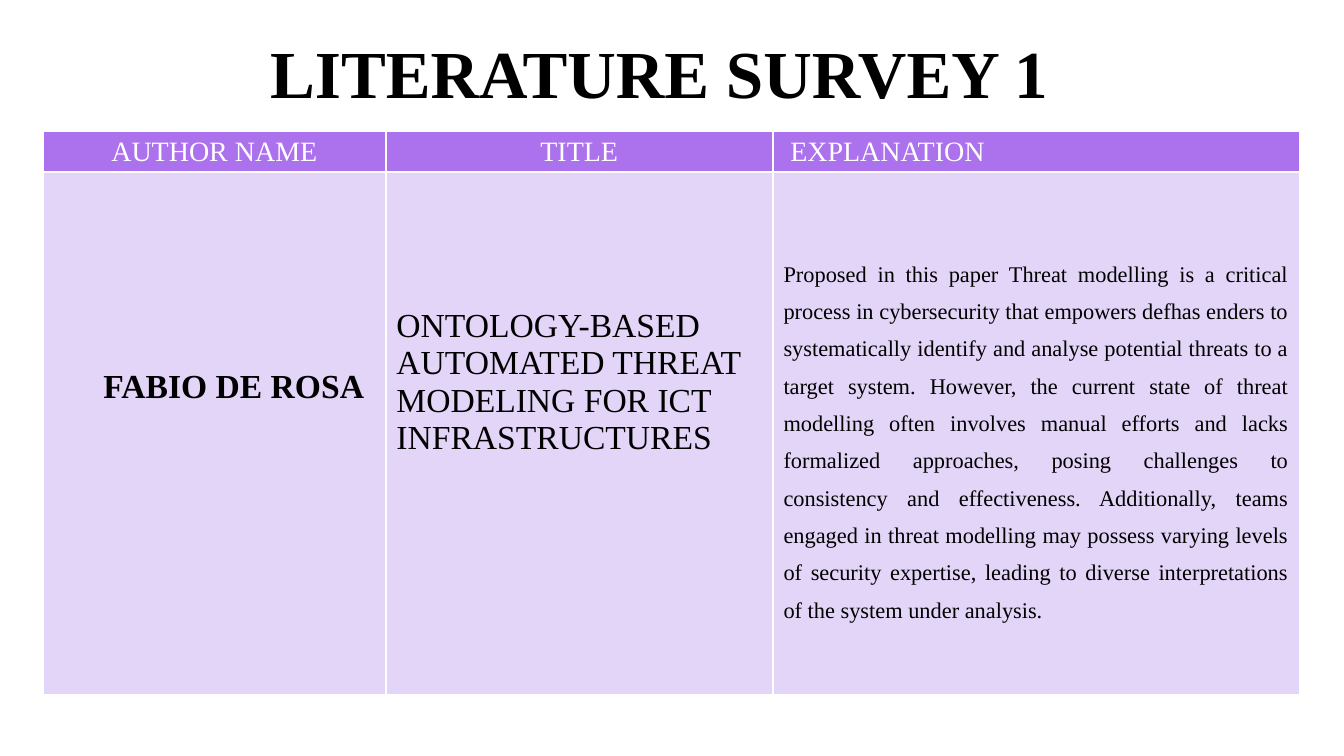
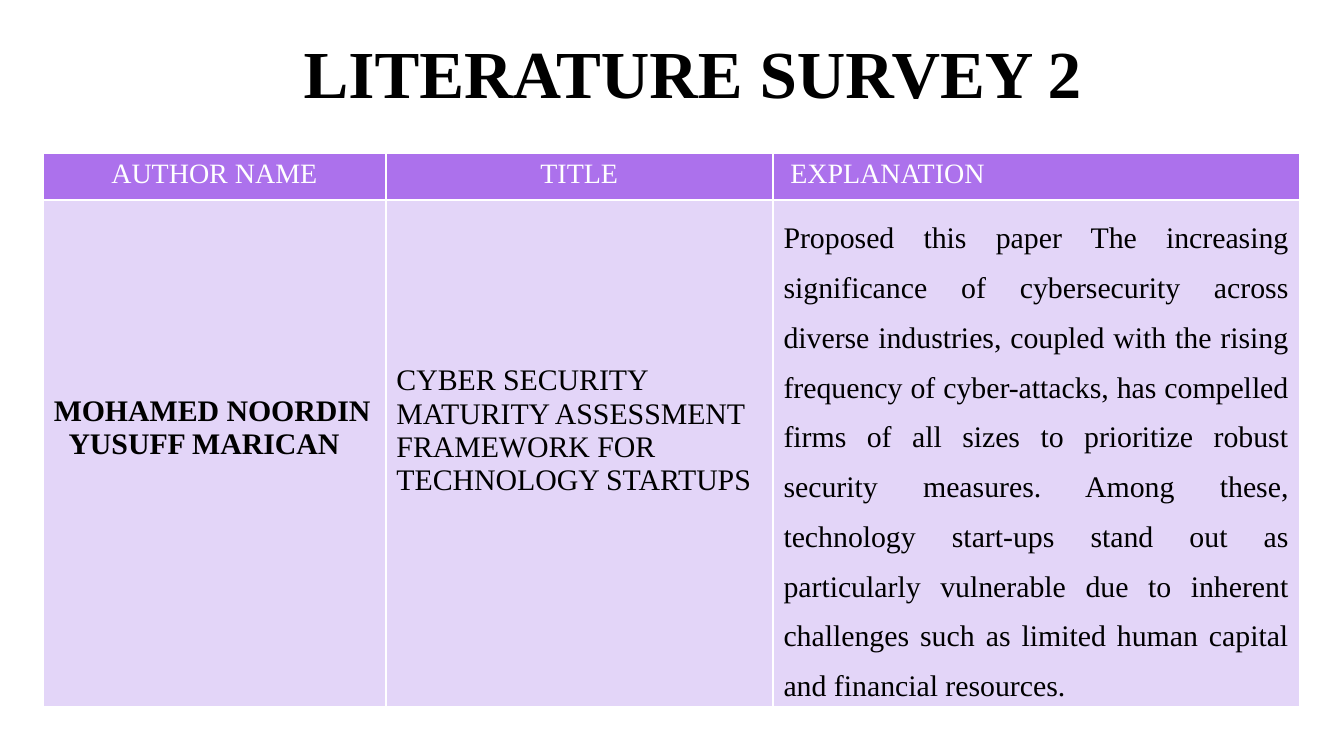
from pptx import Presentation
from pptx.dml.color import RGBColor as Rgb
from pptx.enum.text import MSO_ANCHOR as Anchor, MSO_AUTO_SIZE as Auto, PP_ALIGN as Align
from pptx.oxml.ns import qn
from pptx.util import Inches, Pt
from lxml.etree import SubElement as Sub

HUES = {"head": "AC71EC", "body": "E3D5F8", "ink": "000000", "white": "FFFFFF"}
FONT = "Times New Roman"
WIDE = 10
HIGH = WIDE * 9 / 16
COLS = [2.55, 2.88, 3.92]
LEFT = 0.32
PAD = {"margin_left": 0.08, "margin_right": 0.08, "margin_top": 0.04, "margin_bottom": 0.03}

HEADS = [
    {"text": "AUTHOR NAME", "para": {"alignment": Align.CENTER}},
    {"text": "TITLE", "para": {"alignment": Align.CENTER}},
    {"text": "EXPLANATION", "pad": {"margin_left": 0.13}},
]
PROSE = {"alignment": Align.JUSTIFY, "line_spacing": 1.5}

SURVEYS = [
    {
        "title": "LITERATURE SURVEY 1", "left": 1.91, "top": 0.98, "rows": [0.3, 3.89],
        "cells": [
            {"text": "FABIO DE ROSA", "size": 18, "bold": True,
             "pad": {"margin_left": 0.45, "margin_top": 1.46}},
            {"text": "ONTOLOGY-BASED AUTOMATED THREAT MODELING FOR ICT INFRASTRUCTURES",
             "size": 18, "pad": {"margin_top": 1.01}},
            {"text": "Proposed in this paper Threat modelling is a critical process in "
                     "cybersecurity that empowers defhas enders to systematically identify "
                     "and analyse potential threats to a target system. However, the current "
                     "state of threat modelling often involves manual efforts and lacks "
                     "formalized approaches, posing challenges to consistency and "
                     "effectiveness. Additionally, teams engaged in threat modelling may "
                     "possess varying levels of security expertise, leading to diverse "
                     "interpretations of the system under analysis.",
             "size": 12, "para": PROSE, "pad": {"margin_top": 0.58}},
        ],
    },
    {
        "title": "LITERATURE SURVEY 2", "left": 2.16, "top": 1.14, "rows": [0.35, 3.77],
        "cells": [
            {"text": "MOHAMED NOORDIN YUSUFF MARICAN", "size": 16, "bold": True,
             "hang": 0.11, "pad": {"margin_top": 1.45}},
            {"text": "CYBER SECURITY MATURITY ASSESSMENT FRAMEWORK FOR TECHNOLOGY STARTUPS",
             "size": 16, "pad": {"margin_top": 1.22}},
            {"text": "Proposed this paper The increasing significance of cybersecurity across "
                     "diverse industries, coupled with the rising frequency of cyber-attacks, "
                     "has compelled firms of all sizes to prioritize robust security measures. "
                     "Among these, technology start-ups stand out as particularly vulnerable "
                     "due to inherent challenges such as limited human capital and financial "
                     "resources.",
             "size": 16, "para": PROSE},
        ],
    },
]


def apply(item, vals):
    for name, val in vals.items():
        setattr(item, name, val)


def write(para, text, size, hue, bold=False):
    run = para.add_run()
    run.text = text
    apply(run.font, {"name": FONT, "size": Pt(size), "bold": bold})
    run.font.color.rgb = Rgb.from_string(HUES[hue])


def edge(cell, hue="white", width=1):
    """Rule all four sides of a cell."""
    props = cell._tc.get_or_add_tcPr()
    for side in ("lnL", "lnR", "lnT", "lnB"):
        line = Sub(props, qn(f"a:{side}"), w=str(Pt(width)))
        Sub(Sub(line, qn("a:solidFill")), qn("a:srgbClr"), val=HUES[hue])


def hang(para, depth):
    """Indent every line but the first."""
    props = para._p.get_or_add_pPr()
    props.set("marL", str(Inches(depth)))
    props.set("indent", str(-Inches(depth)))


def fill(cell, data, back, ink):
    pads = {**PAD, **data.get("pad", {})}
    apply(cell, {name: Inches(val) for name, val in pads.items()})
    edge(cell)
    cell.fill.solid()
    cell.fill.fore_color.rgb = Rgb.from_string(HUES[back])
    para = cell.text_frame.paragraphs[0]
    apply(para, data.get("para", {"alignment": Align.LEFT}))
    if "hang" in data:
        hang(para, data["hang"])
    write(para, data["text"], data.get("size", 15), ink, data.get("bold", False))


def add_title(slide, text, left):
    title = slide.shapes.title
    box = {"left": left, "top": 0.31, "width": 6.18, "height": 0.45}
    apply(title, {name: Inches(val) for name, val in box.items()})
    frame = title.text_frame
    apply(frame, {"auto_size": Auto.NONE, "word_wrap": True,
                  "vertical_anchor": Anchor.MIDDLE})
    sides = ("left", "right", "top", "bottom")
    apply(frame, {f"margin_{side}": Inches(0.1) for side in sides})
    para = frame.paragraphs[0]
    para.alignment = Align.LEFT
    write(para, text, 36, "ink", True)


def add_grid(slide, top, rows, cells):
    spot = [Inches(n) for n in (LEFT, top, sum(COLS), sum(rows))]
    table = slide.shapes.add_table(len(rows), len(COLS), *spot).table
    for col, width in zip(table.columns, COLS):
        col.width = Inches(width)
    for row, high in zip(table.rows, rows):
        row.height = Inches(high)
    for col, (head, body) in enumerate(zip(HEADS, cells)):
        fill(table.cell(0, col), head, "head", "white")
        fill(table.cell(1, col), body, "body", "ink")


def main():
    deck = Presentation()
    apply(deck, {"slide_width": Inches(WIDE), "slide_height": Inches(HIGH)})
    for item in SURVEYS:
        slide = deck.slides.add_slide(deck.slide_layouts[5])
        add_title(slide, item["title"], item["left"])
        add_grid(slide, item["top"], item["rows"], item["cells"])
    deck.save("out.pptx")


if __name__ == "__main__":
    main()
